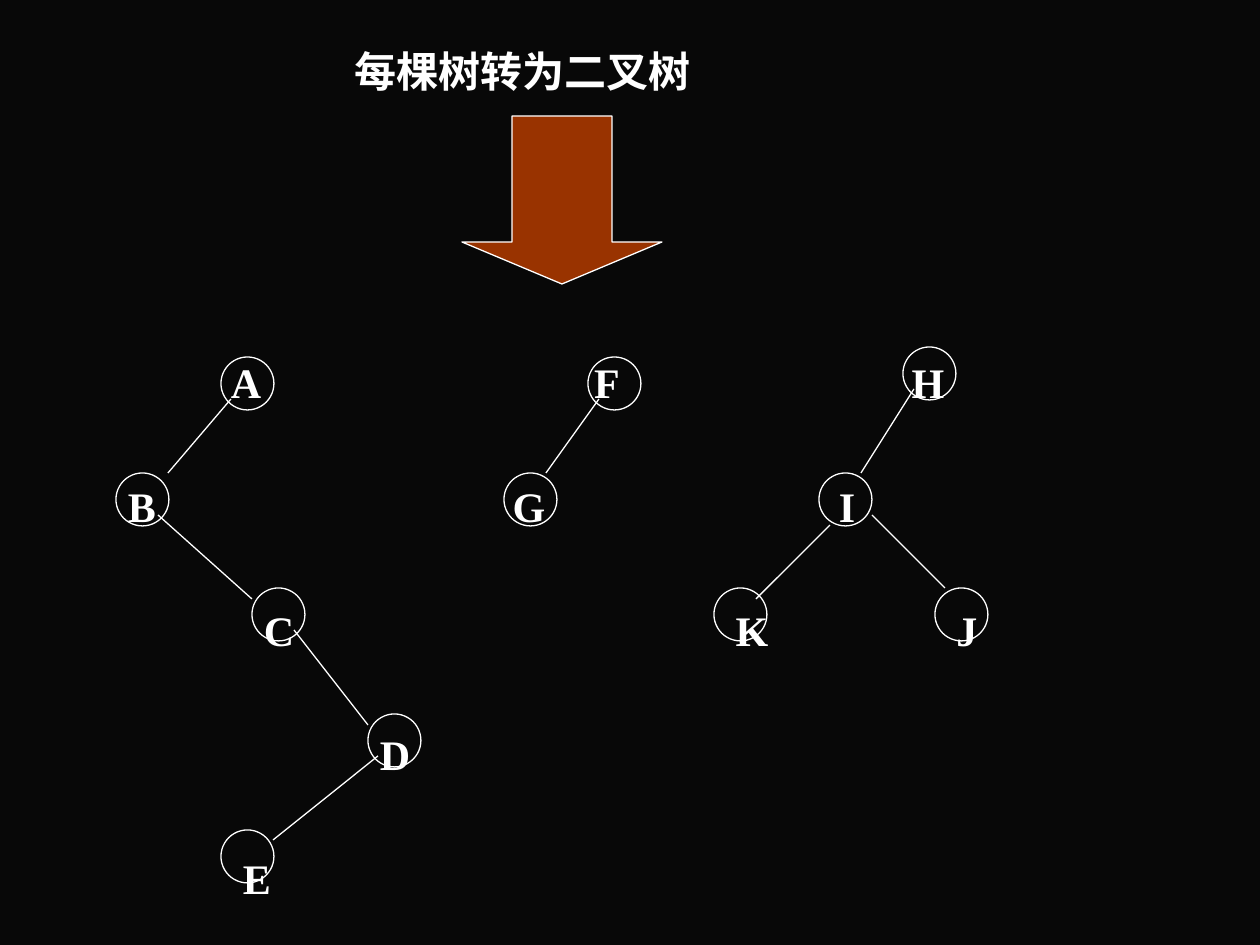
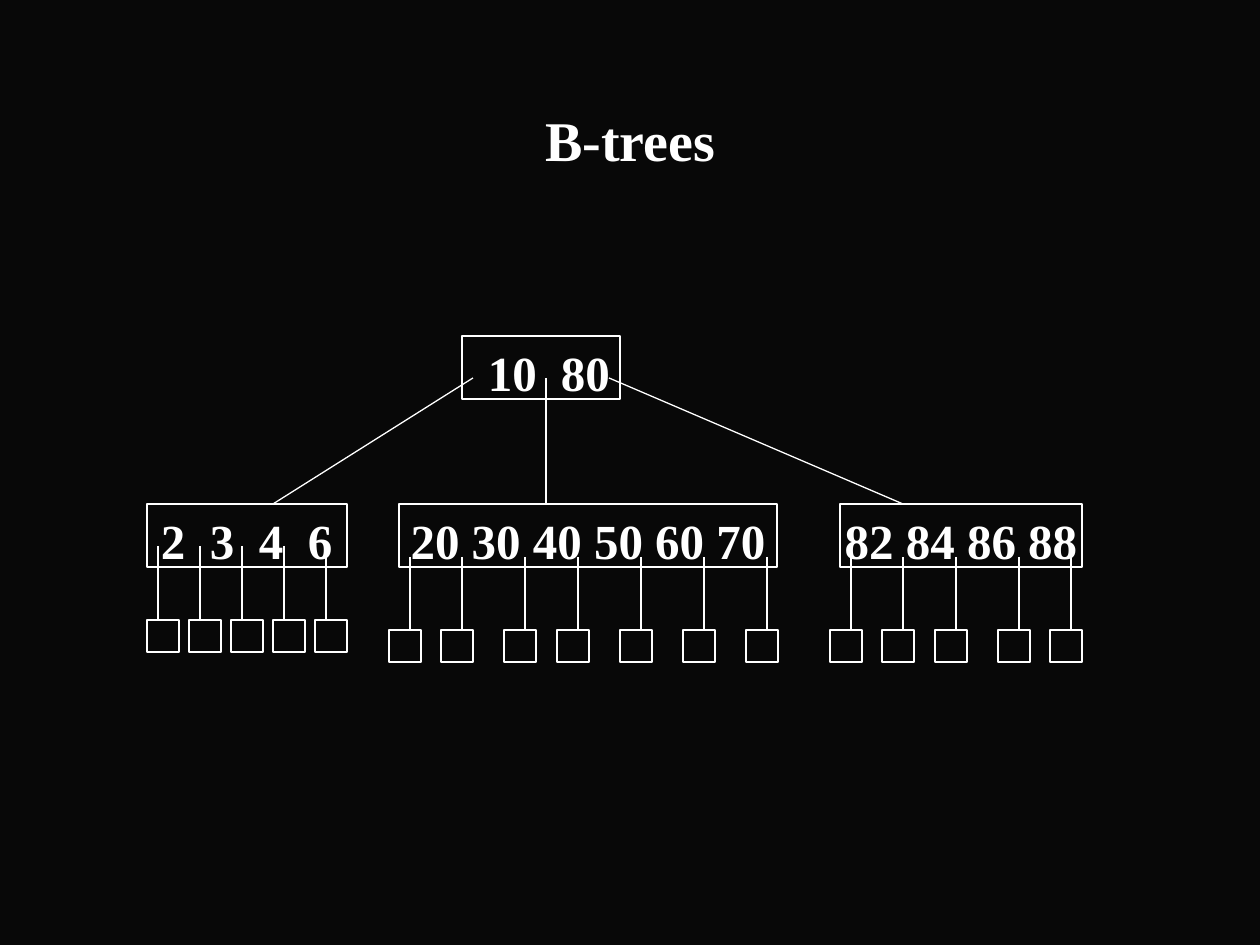
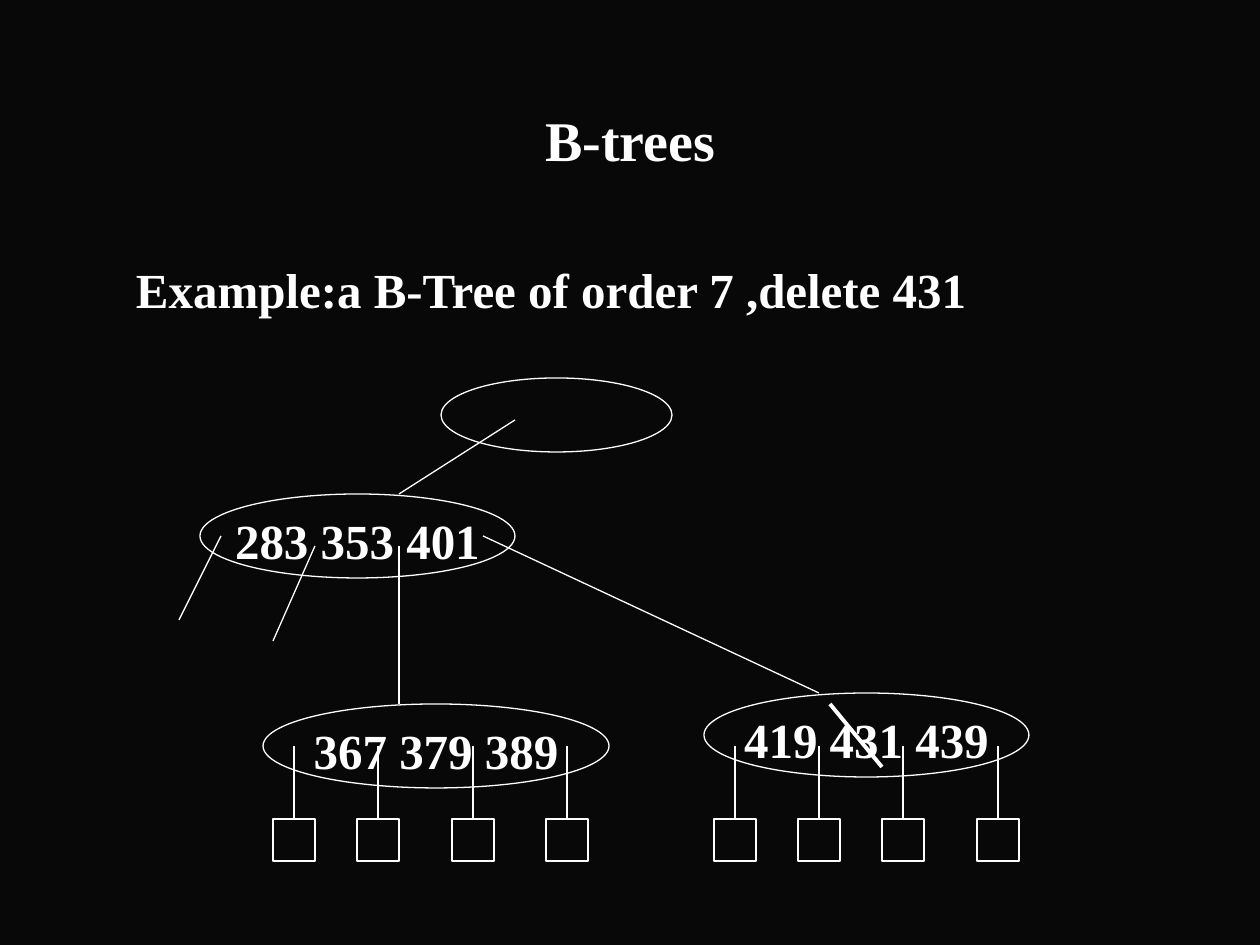
from pptx import Presentation
from pptx.dml.color import RGBColor
from pptx.enum.shapes import MSO_CONNECTOR, MSO_SHAPE
from pptx.enum.text import MSO_ANCHOR, PP_ALIGN
from pptx.oxml.ns import qn
from pptx.util import Emu, Pt
from lxml.etree import SubElement

PX = 914400 // 126
COLORS = {"background": "080808", "ink": "FFFFFF", "arrow": "993300"}
FONT = "Times New Roman"
TITLE = ("B-trees", (95, 87, 1071, 105), 32)

FOREST_TITLE = "每棵树转为二叉树"
ARROW = (462, 116, 200, 168)
NODE_SIZE = 53
NODES = [
    (221, 357), (588, 357), (903, 347),
    (116, 473), (504, 473), (819, 473),
    (252, 588), (714, 588), (935, 588),
    (368, 714), (221, 830),
]
LABELS_BOX = (32, 357, 1197, 540)
LABEL_ROWS = [
    [("A", 246), ("F", 607), ("H", 928)],
    [("B", 142), ("G", 529), ("I", 847)],
    [("C", 279), ("K", 752), ("J", 967)],
    [("D", 395)],
    [("E", 257)],
]
FOREST_EDGES = [
    (231, 399, 168, 473), (158, 515, 252, 599), (294, 630, 368, 725),
    (378, 756, 273, 840), (599, 399, 546, 473), (914, 389, 861, 473),
    (830, 525, 756, 599), (872, 515, 945, 588),
]

KEY_ROOT = ((462, 336, 158, 63), ["10", "80"], 26, 73)
KEY_FIRST = ((147, 504, 200, 63), ["2", "3", "4", "6"], 14, 49)
KEY_BOXES = [
    ((399, 504, 378, 63), "20 30 40 50 60 70"),
    ((840, 504, 242, 63), "82 84 86 88"),
]
KEY_EDGES = [(473, 378, 273, 504), (546, 378, 546, 504), (609, 378, 903, 504)]
KEY_LEAVES = [
    ([158, 200, 242, 284, 326], 546, 620, 32, 11),
    ([410, 462, 525, 578, 641, 704, 767], 557, 630, 32, 21),
    ([851, 903, 956, 1019, 1071], 557, 630, 32, 21),
]

EXAMPLE = ("Example:a B-Tree of order 7 ,delete 431", (136, 260, 1020, 60), 28)
DELETE_NODES = [
    ((441, 378, 231, 74), ""),
    ((200, 494, 315, 84), "283 353 401"),
    ((263, 704, 346, 84), "367 379 389"),
    ((704, 693, 325, 84), "419 431 439"),
]
DELETE_EDGES = [
    (515, 420, 399, 494), (221, 536, 179, 620), (315, 546, 273, 641),
    (399, 546, 399, 704), (483, 536, 819, 693),
]
DELETE_LEAVES = [
    ([294, 378, 473, 567], 746, 819, 42, 21),
    ([735, 819, 903, 998], 746, 819, 42, 21),
]
STRIKE = (830, 704, 882, 767)


def px(*lengths):
    return [Emu(length * PX) for length in lengths]


def rgb(name):
    return RGBColor.from_string(COLORS[name])


def add_slide(presentation):
    slide = presentation.slides.add_slide(presentation.slide_layouts[6])
    slide.background.fill.solid()
    slide.background.fill.fore_color.rgb = rgb("background")
    return slide


def style(paragraph, size, align=PP_ALIGN.LEFT):
    paragraph.alignment = align
    for run in paragraph.runs:
        run.font.name = FONT
        run.font.size = Pt(size)
        run.font.bold = True
        run.font.color.rgb = rgb("ink")


def set_margins(text_frame, left=0, top=0):
    text_frame.margin_left, text_frame.margin_top = px(left, top)
    text_frame.margin_right = text_frame.margin_bottom = 0


def add_tabs(paragraph, stops, align):
    tab_list = SubElement(paragraph._p.get_or_add_pPr(), qn("a:tabLst"))
    for stop in stops:
        SubElement(tab_list, qn("a:tab"), pos=str(stop * PX), algn=align)


def add_text(slide, text, box, size, align=PP_ALIGN.LEFT, anchor=MSO_ANCHOR.TOP):
    text_frame = slide.shapes.add_textbox(*px(*box)).text_frame
    text_frame.word_wrap = True
    text_frame.vertical_anchor = anchor
    set_margins(text_frame)
    text_frame.text = text
    style(text_frame.paragraphs[0], size, align)


def add_title(slide):
    add_text(slide, *TITLE, PP_ALIGN.CENTER, MSO_ANCHOR.MIDDLE)


def add_outline(slide, kind, box, text="", fill=None):
    shape = slide.shapes.add_shape(kind, *px(*box))
    shape.shadow.inherit = False
    if fill:
        shape.fill.solid()
        shape.fill.fore_color.rgb = rgb(fill)
    else:
        shape.fill.background()
    shape.line.color.rgb = rgb("ink")
    shape.line.width = Pt(0.75)
    if text:
        text_frame = shape.text_frame
        text_frame.word_wrap = False
        text_frame.vertical_anchor = MSO_ANCHOR.MIDDLE
        set_margins(text_frame, top=8)
        text_frame.text = text
        style(text_frame.paragraphs[0], 28, PP_ALIGN.CENTER)
    return shape


def add_tabbed_keys(slide, box, keys, indent, step):
    text_frame = add_outline(slide, MSO_SHAPE.RECTANGLE, box, "\t".join(keys)).text_frame
    text_frame.word_wrap = True
    set_margins(text_frame, indent, 8)
    paragraph = text_frame.paragraphs[0]
    paragraph.alignment = PP_ALIGN.LEFT
    add_tabs(paragraph, [step * i for i in range(1, len(keys))], "l")


def add_line(slide, ends, width=0.75):
    connector = slide.shapes.add_connector(MSO_CONNECTOR.STRAIGHT, *px(*ends))
    connector.line.color.rgb = rgb("ink")
    connector.line.width = Pt(width)
    SubElement(connector._element.spPr, qn("a:effectLst"))


def add_leaves(slide, stems, top, bottom, size, offset):
    for x in stems:
        add_line(slide, (x, top, x, bottom))
        add_outline(slide, MSO_SHAPE.RECTANGLE, (x - offset, bottom, size, size))


def add_labels(slide):
    text_frame = slide.shapes.add_textbox(*px(*LABELS_BOX)).text_frame
    text_frame.word_wrap = True
    set_margins(text_frame)
    for i, row in enumerate(LABEL_ROWS):
        paragraph = text_frame.add_paragraph() if i else text_frame.paragraphs[0]
        paragraph.text = "".join("\t" + letter for letter, x in row)
        if i:
            paragraph.space_before = Pt(42)
        add_tabs(paragraph, [x - LABELS_BOX[0] for letter, x in row], "ctr")
        style(paragraph, 24)


def build_forest(slide):
    add_text(slide, FOREST_TITLE, (355, 46, 400, 62), 24)
    add_labels(slide)
    for x, y in NODES:
        add_outline(slide, MSO_SHAPE.OVAL, (x, y, NODE_SIZE, NODE_SIZE))
    for edge in FOREST_EDGES:
        add_line(slide, edge)
    arrow = add_outline(slide, MSO_SHAPE.DOWN_ARROW, ARROW, fill="arrow")
    arrow.adjustments[0] = 0.5
    arrow.adjustments[1] = 0.25


def build_keys(slide):
    add_title(slide)
    for keys in (KEY_ROOT, KEY_FIRST):
        add_tabbed_keys(slide, *keys)
    for box, text in KEY_BOXES:
        add_outline(slide, MSO_SHAPE.RECTANGLE, box, text)
    for edge in KEY_EDGES:
        add_line(slide, edge)
    for leaves in KEY_LEAVES:
        add_leaves(slide, *leaves)


def build_delete(slide):
    add_title(slide)
    add_text(slide, *EXAMPLE)
    for box, text in DELETE_NODES:
        add_outline(slide, MSO_SHAPE.OVAL, box, text)
    for edge in DELETE_EDGES:
        add_line(slide, edge)
    for leaves in DELETE_LEAVES:
        add_leaves(slide, *leaves)
    add_line(slide, STRIKE, 2.25)


def main():
    presentation = Presentation()
    presentation.slide_width, presentation.slide_height = px(1260, 945)
    for build in (build_forest, build_keys, build_delete):
        build(add_slide(presentation))
    presentation.save("out.pptx")


if __name__ == "__main__":
    main()
